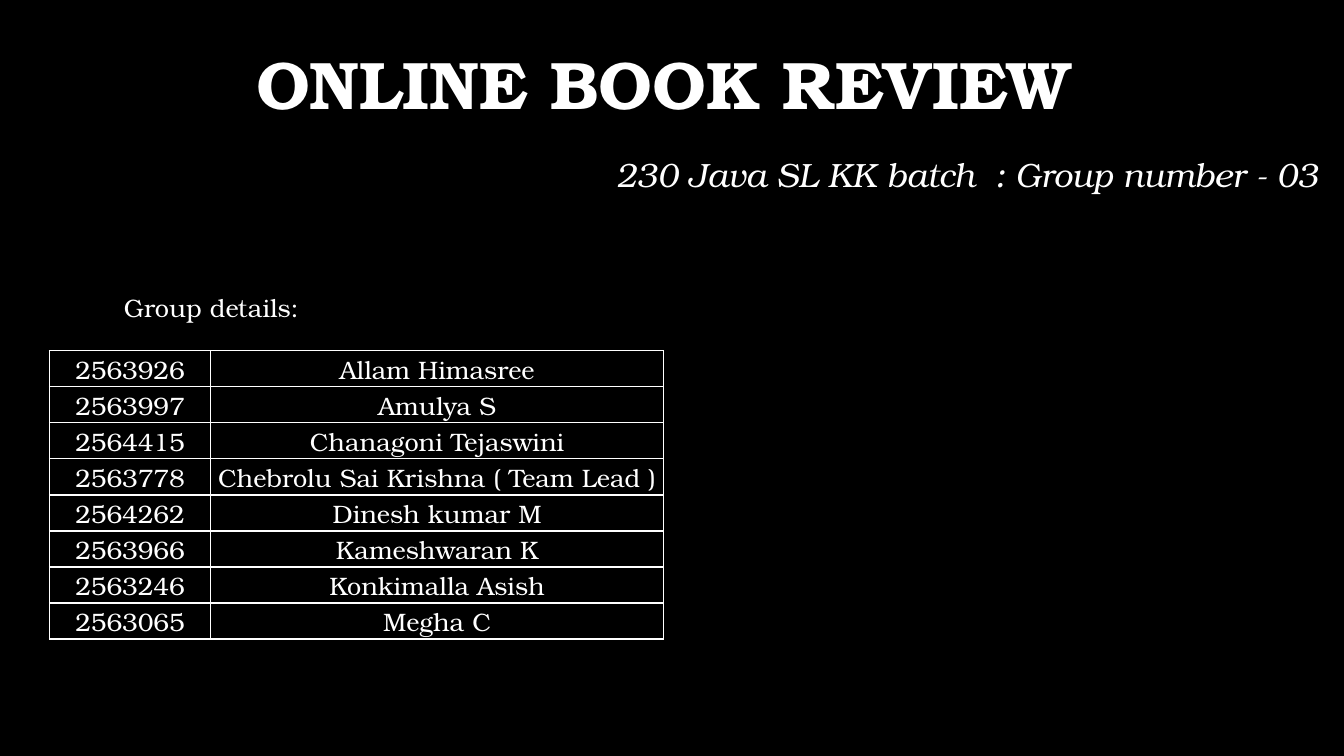
from dataclasses import dataclass

from pptx import Presentation
from pptx.dml.color import RGBColor as RGB
from pptx.enum.text import MSO_ANCHOR as Anchor, PP_ALIGN as Align
from pptx.oxml import parse_xml
from pptx.oxml.ns import nsdecls
from pptx.util import Inches, Pt


@dataclass(frozen=True)
class Theme:
    font: str = "TeX Gyre Bonum"
    back: str = "000000"
    ink: str = "FFFFFF"
    title: int = 48
    batch: int = 24
    body: int = 18
    rule: int = 1


class Deck:
    def __init__(self, theme, slide):
        self.theme = theme
        self.slide = slide
        fill = slide.background.fill
        fill.solid()
        fill.fore_color.rgb = RGB.from_string(theme.back)

    def style(self, para, size, align, bold=False, italic=False):
        para.alignment = align
        for run in para.runs:
            font = run.font
            font.name = self.theme.font
            font.size = Pt(size)
            font.bold = bold
            font.italic = italic
            font.color.rgb = RGB.from_string(self.theme.ink)

    def text(self, words, area, size, align=Align.CENTER,
             anchor=Anchor.TOP, space=1.0, **looks):
        box = self.slide.shapes.add_textbox(*map(Inches, area))
        frame = box.text_frame
        frame.word_wrap = True
        frame.vertical_anchor = anchor
        frame.text = words
        para = frame.paragraphs[0]
        para.line_spacing = space
        self.style(para, size, align, **looks)

    def border(self, cell):
        """Draw a thin line on all four sides of a cell."""
        props = cell._tc.get_or_add_tcPr()
        for side in ("lnL", "lnR", "lnT", "lnB"):
            props.append(parse_xml(
                f'<a:{side} {nsdecls("a")} w="{Pt(self.theme.rule)}">'
                f'<a:solidFill><a:srgbClr val="{self.theme.ink}"/>'
                f'</a:solidFill></a:{side}>'))

    def table(self, rows, area, widths):
        shape = self.slide.shapes.add_table(
            len(rows), len(widths), *map(Inches, area))
        grid = shape.table
        grid.first_row = grid.horz_banding = False
        for col, width in zip(grid.columns, widths):
            col.width = Inches(width)
        for line, row in zip(grid.rows, rows):
            for cell, words in zip(line.cells, row):
                self.border(cell)
                cell.fill.background()
                cell.margin_left = cell.margin_right = Inches(0.03)
                cell.margin_top = cell.margin_bottom = Inches(0.02)
                cell.vertical_anchor = Anchor.BOTTOM
                cell.text = words
                self.style(cell.text_frame.paragraphs[0],
                           self.theme.body, Align.CENTER)


MEMBERS = [
    ("2563926", "Allam Himasree"),
    ("2563997", "Amulya S"),
    ("2564415", "Chanagoni Tejaswini"),
    ("2563778", "Chebrolu Sai Krishna ( Team Lead )"),
    ("2564262", "Dinesh kumar M"),
    ("2563966", "Kameshwaran K"),
    ("2563246", "Konkimalla Asish"),
    ("2563065", "Megha C"),
]


def main():
    show = Presentation()
    show.slide_width = Inches(13.33)
    show.slide_height = Inches(7.5)
    theme = Theme()
    deck = Deck(theme, show.slides.add_slide(show.slide_layouts[6]))

    deck.text("ONLINE BOOK REVIEW", (1.66, 0.13, 9.84, 1.15), theme.title,
              anchor=Anchor.BOTTOM, space=0.9, bold=True)
    deck.text("230 Java SL KK batch  : Group number - 03",
              (4.67, 1.4, 9.84, 1.81), theme.batch, space=1.2, italic=True)
    deck.text("Group details:", (1.13, 2.85, 7.28, 1.92), theme.body,
              align=Align.LEFT)
    deck.table(MEMBERS, (0.49, 3.48, 6.09, 2.86), (1.6, 4.49))

    show.save("out.pptx")


if __name__ == "__main__":
    main()
